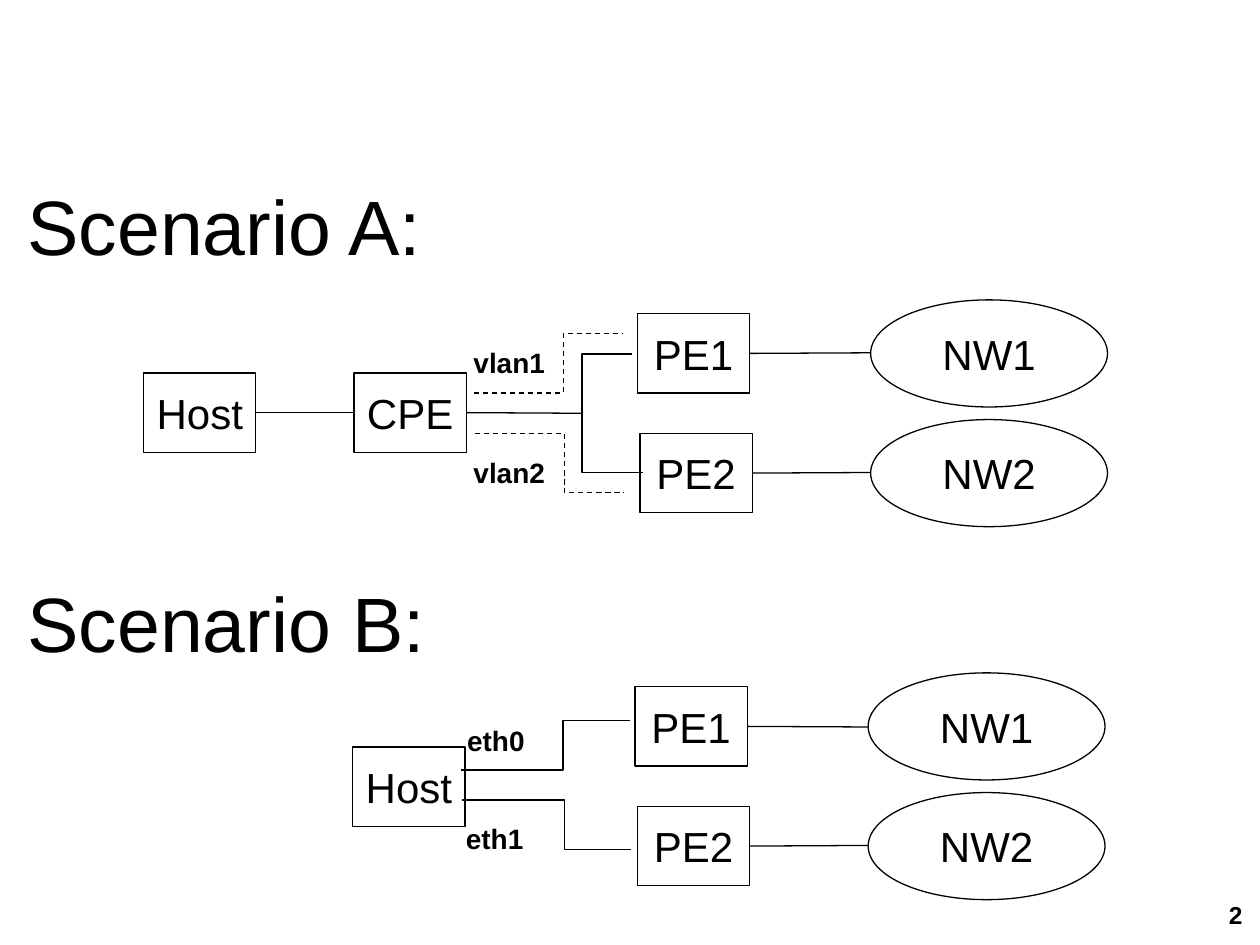
"""Build a slide with two multihoming network scenarios."""
from lxml.etree import SubElement
from pptx import Presentation
from pptx.dml.color import RGBColor
from pptx.enum.dml import MSO_LINE as Dash
from pptx.enum.shapes import MSO_CONNECTOR as Link, MSO_SHAPE as Shape
from pptx.enum.text import MSO_ANCHOR as Anchor, PP_ALIGN as Align
from pptx.oxml.ns import qn
from pptx.util import Inches, Pt

BLACK = RGBColor(0, 0, 0)
LINE_WIDTH = Pt(0.75)
BOX_SIZE = (0.89, 0.63)
CLOUD_SIZE = (1.88, 0.85)
ROW_GAP = 0.95

deck = Presentation()
deck.slide_width, deck.slide_height = Inches(10), Inches(7.5)
page = deck.slides.add_slide(deck.slide_layouts[6])


def write(box, text, size, bold=False, align=Align.LEFT, anchor=Anchor.TOP, wrap=True):
    frame = box.text_frame
    frame.word_wrap = wrap
    frame.vertical_anchor = anchor
    para = frame.paragraphs[0]
    para.alignment = align
    span = para.add_run()
    span.text = text
    span.font.name = "Arial"
    span.font.size = Pt(size)
    span.font.bold = bold
    span.font.color.rgb = BLACK


def outline(item):
    item.line.color.rgb = BLACK
    item.line.width = LINE_WIDTH


for text, top in [("Scenario A:", 1.47), ("Scenario B:", 4.62)]:
    heading = page.shapes.add_textbox(Inches(0.12), Inches(top), Inches(8.5), Inches(0.63))
    write(heading, text, 44, anchor=Anchor.MIDDLE)

nodes = [("A", "Host", 1.14, 2.96), ("A", "CPE", 2.81, 2.96), ("B", "Host", 2.8, 5.93)]
for scenario, left, top in [("A", 5.06, 2.49), ("B", 5.04, 5.45)]:
    for row in range(2):
        offset = row * ROW_GAP
        nodes.append((scenario, f"PE{row + 1}", left + row * 0.02, top + offset))
        nodes.append((scenario, f"NW{row + 1}", left + 1.85, top - 0.11 + offset))

placed = {}
for scenario, text, left, top in nodes:
    is_cloud = text.startswith("NW")
    kind = Shape.OVAL if is_cloud else Shape.RECTANGLE
    width, height = CLOUD_SIZE if is_cloud else BOX_SIZE
    node = page.shapes.add_shape(kind, Inches(left), Inches(top), Inches(width), Inches(height))
    node.shadow.inherit = False
    node.fill.background()
    outline(node)
    write(node, text, 24, align=Align.CENTER, anchor=Anchor.MIDDLE, wrap=False)
    placed[scenario, text] = node

branches = [
    ([(5.02, 2.81), (4.62, 2.81), (4.62, 3.75), (5.1, 3.75)], False),
    ([(3.76, 3.12), (4.47, 3.12), (4.47, 2.65), (4.94, 2.65)], True),
    ([(3.77, 3.44), (4.48, 3.44), (4.48, 3.91), (4.95, 3.91)], True),
    ([(3.66, 6.11), (4.47, 6.11), (4.47, 5.72), (5, 5.72)], False),
    ([(3.67, 6.35), (4.48, 6.35), (4.48, 6.74), (5.01, 6.74)], False),
]
for points, dashed in branches:
    corners = [(Inches(x), Inches(y)) for x, y in points]
    builder = page.shapes.build_freeform(*corners[0])
    builder.add_line_segments(corners[1:], close=False)
    branch = builder.convert_to_shape()
    branch.shadow.inherit = False
    branch.fill.background()
    outline(branch)
    if dashed:
        branch.line.dash_style = Dash.DASH

links = [
    ("A", "Host", 2.81, 3.28),
    ("A", "CPE", 4.62, 3.28),
    ("A", "PE1", 6.91, 2.8),
    ("A", "PE2", 6.91, 3.75),
    ("B", "PE1", 6.89, 5.77),
    ("B", "PE2", 6.89, 6.71),
]
for scenario, name, end_x, end_y in links:
    end = Inches(end_x), Inches(end_y)
    link = page.shapes.add_connector(Link.STRAIGHT, *end, *end)
    link.begin_connect(placed[scenario, name], 3)
    if name == "Host":
        link.end_connect(placed[scenario, "CPE"], 1)
    outline(link)
    SubElement(link.element.spPr, qn("a:effectLst"))

labels = [
    ("vlan1", 3.66, 2.69, 0.8),
    ("vlan2", 3.66, 3.57, 0.8),
    ("eth0", 3.61, 5.69, 0.7),
    ("eth1", 3.6, 6.47, 0.7),
]
for text, left, top, width in labels:
    label = page.shapes.add_textbox(Inches(left), Inches(top), Inches(width), Inches(0.37))
    write(label, text, 16, bold=True)

number = page.shapes.add_textbox(Inches(7.63), Inches(7.09), Inches(2.33), Inches(0.52))
write(number, "2", 14, bold=True, align=Align.RIGHT)

deck.save("out.pptx")
